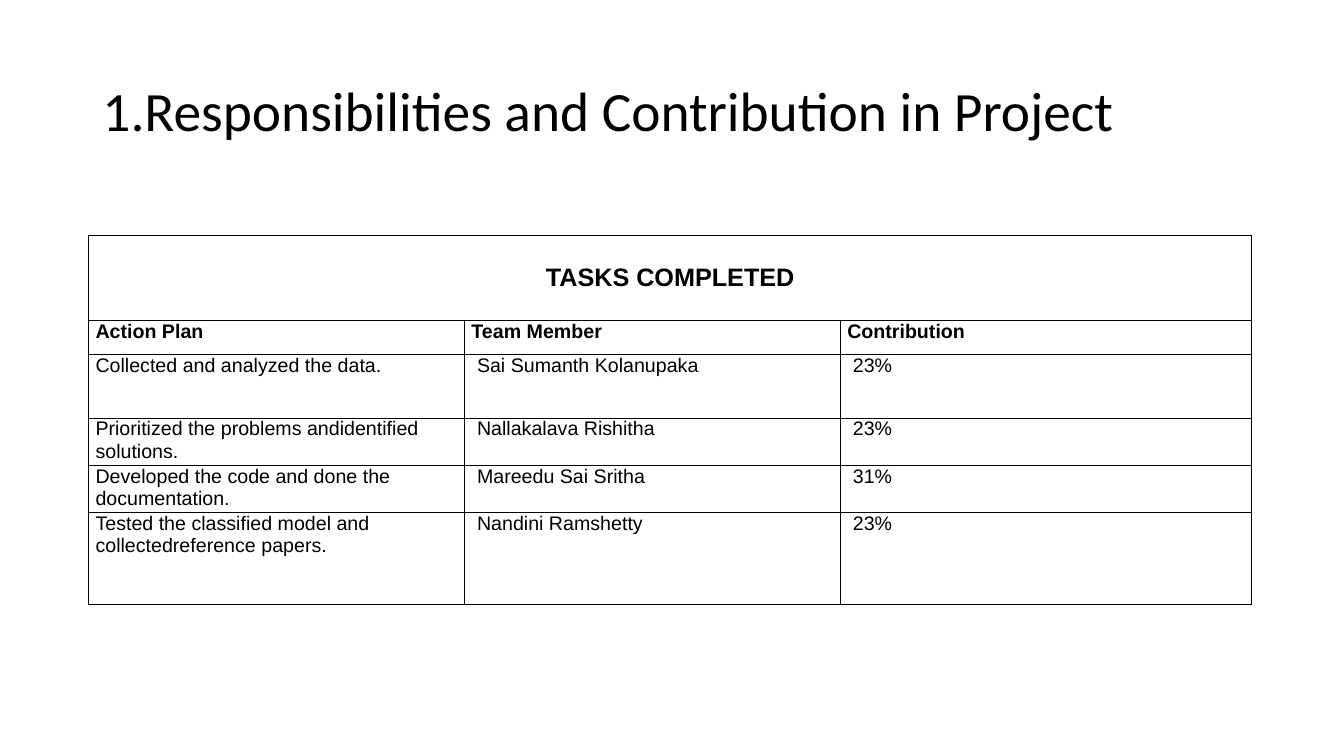
from dataclasses import dataclass

from lxml import etree
from pptx import Presentation
from pptx.dml.color import RGBColor
from pptx.enum.text import MSO_ANCHOR, MSO_AUTO_SIZE, PP_ALIGN
from pptx.oxml.ns import qn
from pptx.table import _Cell
from pptx.text.text import TextFrame
from pptx.util import Pt

MIDDLE, TOP = MSO_ANCHOR.MIDDLE, MSO_ANCHOR.TOP
LEFT, CENTER = PP_ALIGN.LEFT, PP_ALIGN.CENTER
BLACK = RGBColor(0x00, 0x00, 0x00)
BORDER = RGBColor(0x08, 0x00, 0x00)

COLUMN_WIDTHS = (268.5, 268.5, 294)
BANNER_HEIGHT = 61
PADDING = 5
VALUE_INDENT = 4


@dataclass
class TaskRow:
    height: float
    action: str
    member: str
    contribution: str
    heading: bool = False


ROWS = [
    TaskRow(24, "Action Plan", "Team Member", "Contribution", heading=True),
    TaskRow(45.5, "Collected and analyzed the data.", "Sai Sumanth Kolanupaka", "23%"),
    TaskRow(33.75, "Prioritized the problems andidentified solutions.",
            "Nallakalava Rishitha", "23%"),
    TaskRow(33.75, "Developed the code and done the documentation.",
            "Mareedu Sai Sritha", "31%"),
    TaskRow(65.5, "Tested the classified model and\ncollectedreference papers.",
            "Nandini Ramshetty", "23%"),
]


def write_text(tf: TextFrame, text: str, *, size: float = 14, font: str = "Arial",
               bold: bool = False, align: PP_ALIGN = LEFT, spacing: float = 1.0) -> None:
    tf.text = text
    for p in tf.paragraphs:
        p.alignment = align
        p.line_spacing = spacing
        for r in p.runs:
            r.font.size = Pt(size)
            r.font.name = font
            r.font.bold = bold
            r.font.color.rgb = BLACK


def format_cell(cell: _Cell, indent: float = 0, anchor: MSO_ANCHOR = TOP) -> None:
    """Set padding, anchor, empty fill and thin borders on all four sides."""
    cell.margin_left, cell.margin_right = Pt(PADDING + indent), Pt(PADDING)
    cell.margin_top = cell.margin_bottom = 0
    cell.vertical_anchor = anchor
    tc_pr = cell._tc.get_or_add_tcPr()
    for side in ("a:lnL", "a:lnR", "a:lnT", "a:lnB"):
        ln = etree.SubElement(tc_pr, qn(side), w=str(Pt(1)))
        fill = etree.SubElement(ln, qn("a:solidFill"))
        etree.SubElement(fill, qn("a:srgbClr"), val=str(BORDER))
    cell.fill.background()


def main() -> None:
    prs = Presentation()
    prs.slide_width, prs.slide_height = Pt(960), Pt(540)
    slide = prs.slides.add_slide(prs.slide_layouts[5])

    title = slide.shapes.title
    title.left, title.top, title.width, title.height = Pt(66), Pt(29), Pt(828), Pt(104)
    tf = title.text_frame
    tf.auto_size = MSO_AUTO_SIZE.NONE
    tf.vertical_anchor = MIDDLE
    write_text(tf, "1.Responsibilities and Contribution in Project",
               size=39.6, font="Calibri", spacing=0.9)

    height = BANNER_HEIGHT + sum(row.height for row in ROWS)
    table = slide.shapes.add_table(len(ROWS) + 1, len(COLUMN_WIDTHS), Pt(63.25), Pt(168.25),
                                   Pt(sum(COLUMN_WIDTHS)), Pt(height)).table
    table.first_row = table.horz_banding = False
    for column, width in zip(table.columns, COLUMN_WIDTHS):
        column.width = Pt(width)

    table.rows[0].height = Pt(BANNER_HEIGHT)
    banner = table.cell(0, 0)
    banner.merge(table.cell(0, len(COLUMN_WIDTHS) - 1))
    for cell in table.rows[0].cells:
        format_cell(cell, anchor=MIDDLE)
    write_text(banner.text_frame, "TASKS COMPLETED", size=18, bold=True, align=CENTER)

    for i, row in enumerate(ROWS, start=1):
        table.rows[i].height = Pt(row.height)
        for j, text in enumerate((row.action, row.member, row.contribution)):
            cell = table.cell(i, j)
            format_cell(cell, indent=VALUE_INDENT if j and not row.heading else 0)
            write_text(cell.text_frame, text, bold=row.heading)

    prs.save("out.pptx")


if __name__ == "__main__":
    main()
